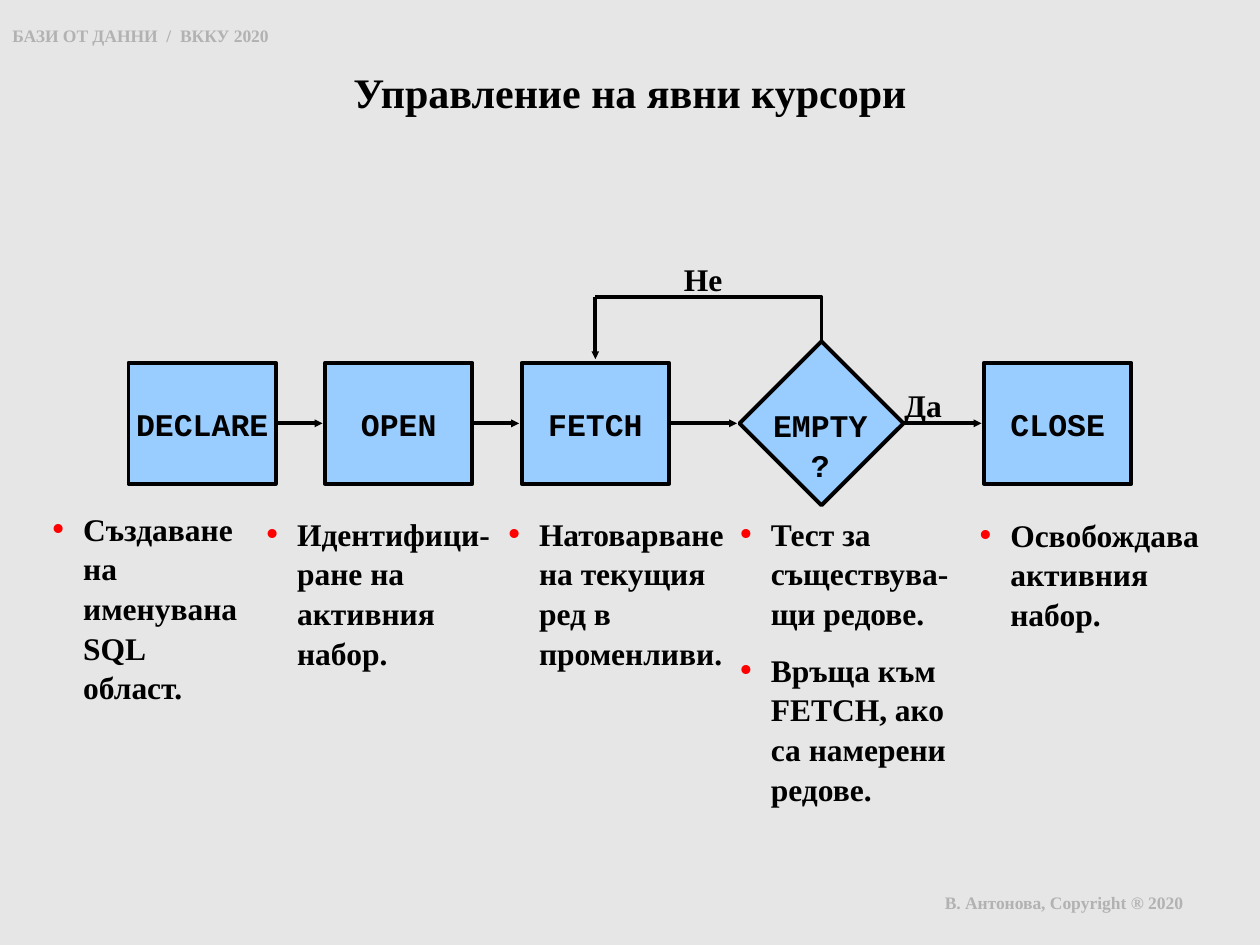
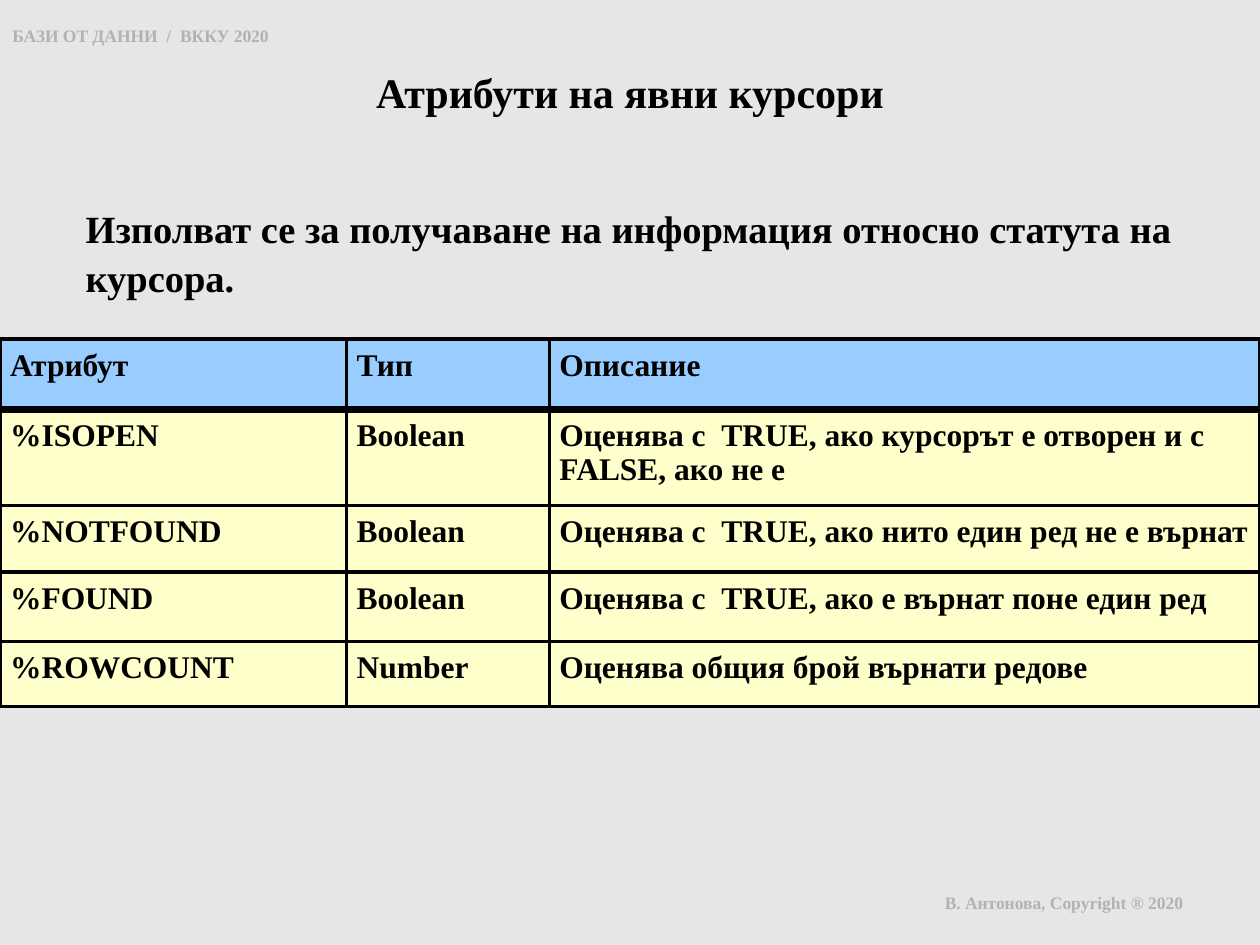
from dataclasses import dataclass
from math import sqrt

from lxml import etree
from pptx import Presentation
from pptx.dml.color import RGBColor
from pptx.enum.shapes import MSO_CONNECTOR, MSO_SHAPE
from pptx.enum.text import MSO_ANCHOR, MSO_AUTO_SIZE, PP_ALIGN
from pptx.oxml.ns import qn
from pptx.util import Inches, Pt


@dataclass(frozen=True)
class Theme:
    back: str = "E6E6E6"
    ink: str = "000000"
    muted: str = "B2B2B2"
    accent: str = "99CCFF"
    cell: str = "FFFFCC"
    bullet: str = "FF0000"
    serif: str = "Times New Roman"
    mono: str = "Courier New"
    title: int = 24
    lead: int = 22
    text: int = 18
    small: int = 10
    line: float = 2.25
    heavy: float = 4.5
    spacing: float = 1.05
    table_spacing: float = 0.97


BOX_INSETS = (0.1, 0.05, 0.1, 0.05)
TITLE_INSETS = (0.01,) * 4
CELL_INSETS = (0.08,) * 4
SIDES = ("left", "top", "right", "bottom")


def rgb(color):
    return RGBColor.from_string(color)


def apply(target, values):
    for name, value in values.items():
        setattr(target, name, value)


def add_xml(parent, tag, **attrs):
    return etree.SubElement(parent, qn(tag), attrs)


def margins(insets):
    return {f"margin_{side}": Inches(v) for side, v in zip(SIDES, insets)}


class Deck:
    """Holds the theme, the presentation and the slide being built."""

    def __init__(self, theme):
        self.theme = theme
        self.prs = Presentation()
        apply(self.prs, {"slide_width": Inches(10), "slide_height": Inches(7.5)})
        fill = self.prs.slide_master.background.fill
        fill.solid()
        fill.fore_color.rgb = rgb(theme.back)

    def new_slide(self, title):
        self.s = self.prs.slides.add_slide(self.prs.slide_layouts[1])
        self.body = self.s.placeholders[1]
        small = {"size": self.theme.small, "color": self.theme.muted}
        self.label("БАЗИ ОТ ДАННИ  /  ВККУ 2020", (0, 0.14, 2.99, 0.27), **small)
        self.label("В. Антонова, Copyright ® 2020", (7.4, 7.02, 2.6, 0.42), **small)
        self.place(self.s.shapes.title, (0.67, 0.5, 8.66, 0.96))
        self.set_text(self.s.shapes.title.text_frame, title, size=self.theme.title,
                      align=PP_ALIGN.CENTER, insets=TITLE_INSETS)

    def place(self, sp, at):
        apply(sp, dict(zip(("left", "top", "width", "height"), map(Inches, at))))

    def set_text(self, tf, text, size=None, color=None, font=None,
                 align=PP_ALIGN.LEFT, insets=BOX_INSETS, wrap=True,
                 anchor=MSO_ANCHOR.TOP):
        apply(tf, {"auto_size": MSO_AUTO_SIZE.NONE, "word_wrap": wrap,
                   "vertical_anchor": anchor, **margins(insets)})
        return self.paragraph(tf, text, size, color, font, align)

    def paragraph(self, tf, text, size=None, color=None, font=None,
                  align=PP_ALIGN.LEFT, spacing=None):
        p = tf.paragraphs[0]
        apply(p, {"alignment": align, "space_before": Pt(0),
                  "line_spacing": spacing or self.theme.spacing})
        r = p.add_run()
        r.text = text
        apply(r.font, {"name": font or self.theme.serif, "bold": True,
                       "size": Pt(size or self.theme.text)})
        r.font.color.rgb = rgb(color or self.theme.ink)
        return p

    def label(self, text, at, **style):
        sp = self.s.shapes.add_textbox(*map(Inches, at))
        return self.set_text(sp.text_frame, text, **style)

    def body_text(self, text, at, **style):
        """Fill the body placeholder first; later calls add text boxes."""
        if self.body is None:
            return self.label(text, at, **style)
        sp, self.body = self.body, None
        self.place(sp, at)
        return self.set_text(sp.text_frame, text, **style)

    def lead(self, text, at):
        p = self.body_text(text, at, size=self.theme.lead, insets=TITLE_INSETS)
        pPr = p._p.get_or_add_pPr()
        pPr.attrib.update({"marL": "0", "indent": "0"})
        add_xml(pPr, "a:buNone")

    def bullet(self, text, at):
        pPr = self.body_text(text, at)._p.get_or_add_pPr()
        hang = Inches(0.25)
        pPr.attrib.update({"marL": str(hang), "indent": str(-hang)})
        add_xml(add_xml(pPr, "a:buClr"), "a:srgbClr", val=self.theme.bullet)
        add_xml(pPr, "a:buSzPct", val="120000")
        add_xml(pPr, "a:buFont", typeface=self.theme.serif)
        add_xml(pPr, "a:buChar", char="•")

    def outline(self, sp):
        sp.line.color.rgb = rgb(self.theme.ink)
        sp.line.width = Pt(self.theme.line)

    def box(self, at, text=None, rotation=0):
        sp = self.s.shapes.add_shape(MSO_SHAPE.RECTANGLE, *map(Inches, at))
        sp.shadow.inherit = False
        sp.rotation = rotation
        sp.fill.solid()
        sp.fill.fore_color.rgb = rgb(self.theme.accent)
        self.outline(sp)
        if text:
            self.set_text(sp.text_frame, text, font=self.theme.mono, wrap=False,
                          align=PP_ALIGN.CENTER, anchor=MSO_ANCHOR.MIDDLE)

    def arrow(self, x1, y1, x2, y2):
        sp = self.s.shapes.add_connector(
            MSO_CONNECTOR.STRAIGHT, *map(Inches, (x1, y1, x2, y2)))
        self.outline(sp)
        add_xml(sp.line._get_or_add_ln(), "a:tailEnd",
                type="triangle", w="sm", len="sm")
        add_xml(sp._element.spPr, "a:effectLst")

    def polyline(self, points):
        start, *rest = [tuple(map(Inches, point)) for point in points]
        builder = self.s.shapes.build_freeform(*start)
        builder.add_line_segments(rest, close=False)
        sp = builder.convert_to_shape()
        sp.shadow.inherit = False
        sp.fill.background()
        self.outline(sp)

    def table(self, rows, at, widths, heights):
        sp = self.s.shapes.add_table(len(rows), len(widths), *map(Inches, at))
        table = sp.table
        apply(table, {"first_row": False, "horz_banding": False})
        for column, width in zip(table.columns, widths):
            column.width = Inches(width)
        for i, (row, height) in enumerate(zip(rows, heights)):
            table.rows[i].height = Inches(height)
            for j, text in enumerate(row):
                self.table_cell(table.cell(i, j), text, i)

    def table_cell(self, cell, text, row):
        t = self.theme
        apply(cell, margins(CELL_INSETS))
        self.paragraph(cell.text_frame, text, spacing=t.table_spacing)
        borders = {"a:lnL": t.line, "a:lnR": t.line,
                   "a:lnT": t.heavy if row == 1 else t.line,
                   "a:lnB": t.heavy if row == 0 else t.line}
        tcPr = cell._tc.get_or_add_tcPr()
        for tag, width in borders.items():
            fill = add_xml(add_xml(tcPr, tag, w=str(Pt(width))), "a:solidFill")
            add_xml(fill, "a:srgbClr", val=t.ink)
        cell.fill.solid()
        cell.fill.fore_color.rgb = rgb(t.cell if row else t.accent)


def cursor_flow(deck):
    deck.new_slide("Управление на явни курсори")
    for text, *at in (
        ("Създаване на именувана SQL област.", 0.31, 3.98, 1.78, 1.62),
        ("Идентифици-ране на активния набор.", 2.01, 4.02, 2, 1.62),
        ("Натоварване на текущия ред в променливи.", 3.93, 4.02, 1.94, 1.42),
        ("Тест за съществува-щи редове.", 5.77, 4.02, 1.9, 1.22),
        ("Връща към FETCH, ако са намерени редове.", 5.77, 5.1, 1.9, 1.56),
        ("Освобождава активния набор.", 7.67, 4.03, 2.02, 1.07),
    ):
        deck.bullet(text, at)

    mid, width, height, gap = 3.36, 1.17, 0.96, 0.02
    steps = {"DECLARE": 1.02, "OPEN": 2.58, "FETCH": 4.14, "CLOSE": 7.81}
    for name, left in steps.items():
        deck.box((left, mid - height / 2, width, height), name)

    side, test_x = 0.92, 6.52
    half = side / sqrt(2)
    deck.box((test_x - side / 2, mid - side / 2, side, side), rotation=315)
    deck.label("EMPTY?", (test_x - 0.55, 3.16, 1.08, 0.4),
               font=deck.theme.mono, align=PP_ALIGN.CENTER)

    starts = [*list(steps.values())[:3], test_x - half, steps["CLOSE"]]
    ends = [left + width for left in starts[:3]] + [test_x + half]
    for end, start in zip(ends, starts[1:]):
        deck.arrow(end, mid, start - gap, mid)

    fetch_x, loop_y = steps["FETCH"] + width / 2, 2.36
    deck.polyline([(test_x, mid - half), (test_x, loop_y), (fetch_x, loop_y)])
    deck.arrow(fetch_x, loop_y, fetch_x, 2.85)
    deck.label("Не", (5.33, 2, 0.51, 0.4), wrap=False)
    deck.label("Да", (7.08, 3, 0.5, 0.4), wrap=False)


def cursor_attributes(deck):
    deck.new_slide("Атрибути на явни курсори")
    deck.lead("Изполват се за получаване на информация относно статута на курсора.",
              (0.67, 1.6, 8.66, 0.77))
    rows = (
        ("Атрибут", "Тип", "Описание"),
        ("%ISOPEN", "Boolean",
         "Оценява с  TRUE, ако курсорът е отворен и с FALSE, ако не е"),
        ("%NOTFOUND", "Boolean", "Оценява с  TRUE, ако нито един ред не е върнат"),
        ("%FOUND", "Boolean", "Оценява с  TRUE, ако е върнат поне един ред"),
        ("%ROWCOUNT", "Number", "Оценява общия брой върнати редове"),
    )
    deck.table(rows, (0, 2.69, 10, 2.92), (2.75, 1.61, 5.64),
               (0.56, 0.76, 0.53, 0.55, 0.52))


def main():
    deck = Deck(Theme())
    cursor_flow(deck)
    cursor_attributes(deck)
    deck.prs.save("out.pptx")


if __name__ == "__main__":
    main()
